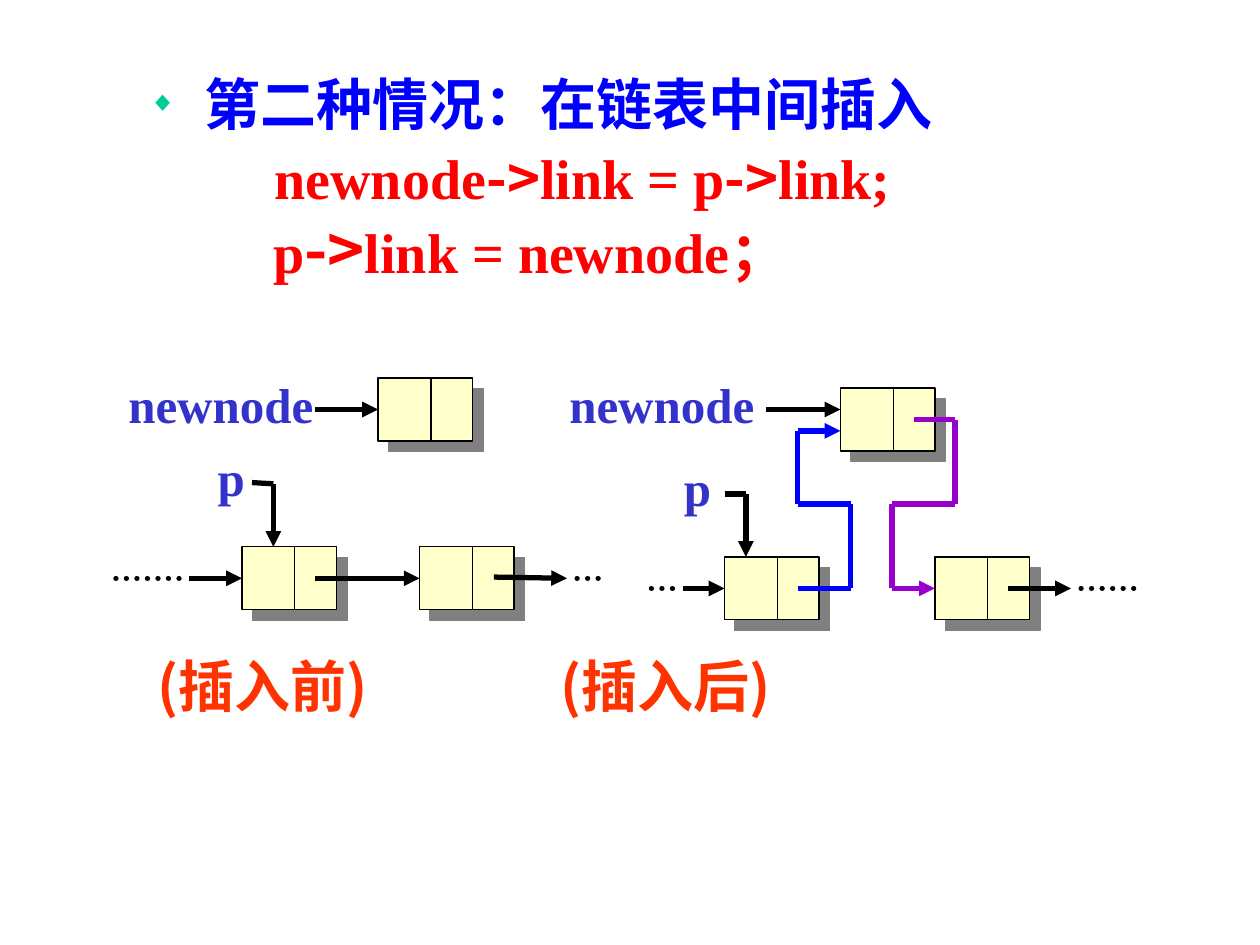
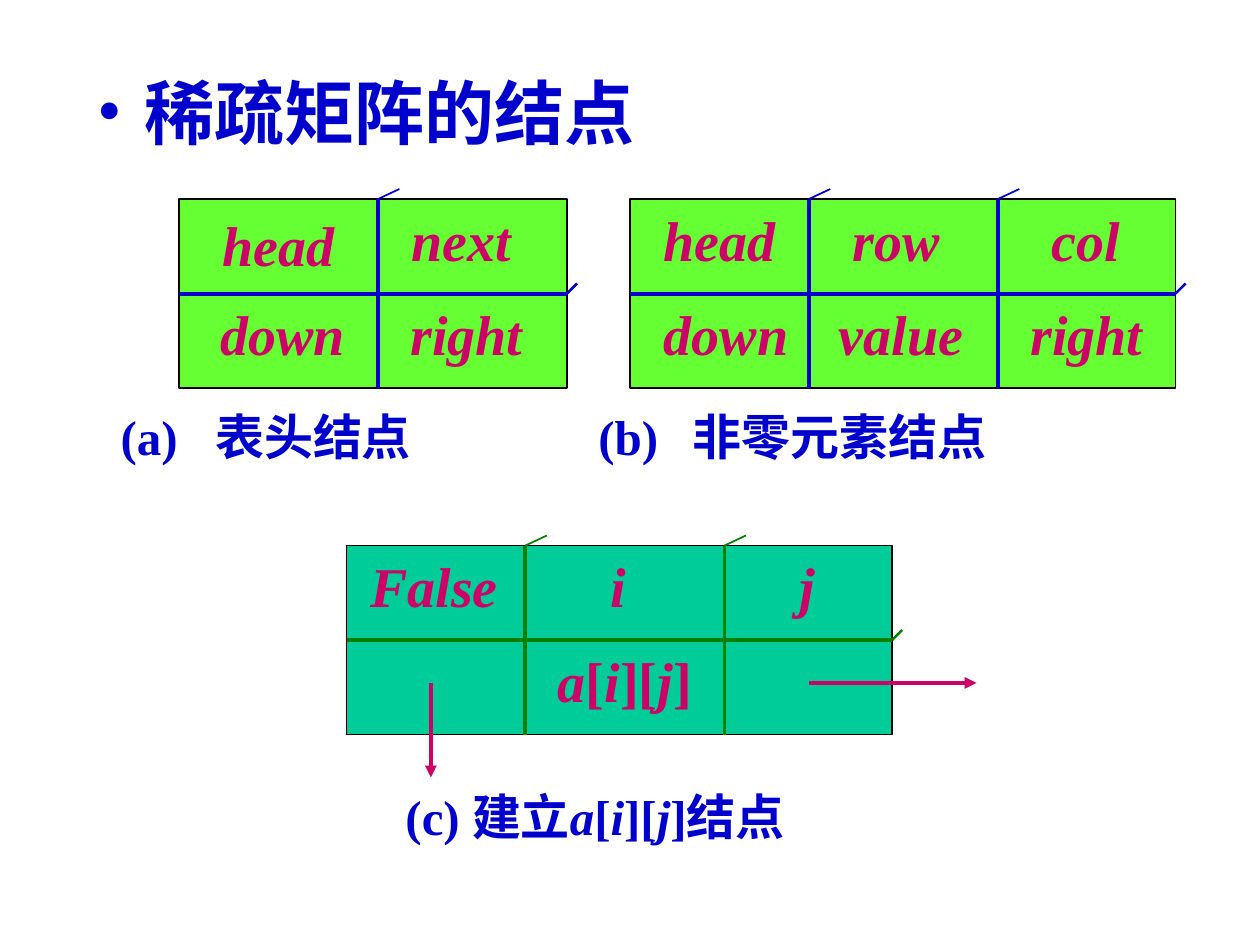
from lxml.etree import SubElement
from pptx import Presentation
from pptx.dml.color import RGBColor
from pptx.enum.dml import MSO_LINE_DASH_STYLE as Dash
from pptx.enum.shapes import MSO_CONNECTOR as Connector, MSO_SHAPE as Shape
from pptx.enum.text import MSO_ANCHOR as Anchor, MSO_AUTO_SIZE as AutoSize, PP_ALIGN as Align
from pptx.oxml.ns import qn
from pptx.util import Inches, Pt

BLACK = RGBColor(0x00, 0x00, 0x00)
BLUE = RGBColor(0x00, 0x00, 0xFF)
NAVY = RGBColor(0x00, 0x00, 0xCC)
INDIGO = RGBColor(0x33, 0x33, 0xCC)
RED = RGBColor(0xFF, 0x00, 0x00)
ORANGE = RGBColor(0xFF, 0x33, 0x00)
PURPLE = RGBColor(0x99, 0x00, 0xCC)
MAGENTA = RGBColor(0xCC, 0x00, 0x66)
CREAM = RGBColor(0xFF, 0xFF, 0xCC)
LIME = RGBColor(0x66, 0xFF, 0x33)
TEAL = RGBColor(0x00, 0xCC, 0x99)
GREEN = RGBColor(0x00, 0x80, 0x00)
GRAY = RGBColor(0x80, 0x80, 0x80)
SERIF = "Times New Roman"
SANS = "Noto Sans CJK SC"


def write(page, left, top, width, height, runs, size, color, box=None):
    box = box or page.shapes.add_textbox(0, 0, 0, 0)
    box.left, box.top = Inches(left), Inches(top)
    box.width, box.height = Inches(width), Inches(height)
    frame = box.text_frame
    frame.word_wrap = True
    frame.auto_size = AutoSize.NONE
    frame.vertical_anchor = Anchor.TOP
    para = frame.paragraphs[0]
    para.alignment = Align.LEFT
    for words, changes in runs:
        span = para.add_run()
        span.text = words
        span.font.size = Pt(size)
        span.font.bold = True
        span.font.name = SERIF
        span.font.color.rgb = color
        for name, value in changes.items():
            setattr(span.font, name, value)
        SubElement(span.font._element, qn("a:ea"), typeface=SANS)
    return para


def draw_route(page, points, color, weight, arrow=False):
    for start, end in zip(points, points[1:]):
        line = page.shapes.add_connector(Connector.STRAIGHT, *map(Inches, start + end))
        line.line.color.rgb = color
        line.line.width = Pt(weight)
        SubElement(line._element.spPr, qn("a:effectLst"))
    if arrow:
        SubElement(line.line._get_or_add_ln(), qn("a:tailEnd"), type="triangle")
    return line


deck = Presentation()
deck.slide_width, deck.slide_height = Inches(10), Inches(7.5)

pages = []
for words, size, color, left, margin, hanging, mark, mark_color, mark_size in [
    ("第二种情况：在链表中间插入", 32, BLUE, 0.58, 0.94, 0.44, "◆", TEAL, 50),
    ("稀疏矩阵的结点", 40, NAVY, 0.67, 0.38, 0.38, "•", NAVY, 100),
]:
    page = deck.slides.add_slide(deck.slide_layouts[5])
    para = write(page, left, 0.5, 9, 0.8, [(words, {})], size, color, page.shapes.title)
    layout = para._p.get_or_add_pPr()
    layout.set("marL", str(Inches(margin)))
    layout.set("indent", str(-Inches(hanging)))
    tint = SubElement(layout, qn("a:buClr"))
    SubElement(tint, qn("a:srgbClr"), val=str(mark_color))
    SubElement(layout, qn("a:buSzPct"), val=str(mark_size * 1000))
    SubElement(layout, qn("a:buFont"), typeface=SERIF)
    SubElement(layout, qn("a:buChar"), char=mark)
    pages.append(page)
insertion, matrix = pages

sans = {"name": SANS}
large = {"name": SANS, "size": Pt(36)}
write(insertion, 2.08, 1.09, 7, 0.7, [
    ("newnode", {}), ("->", sans), ("link = p", {}), ("->", sans), ("link;", {}),
], 32, RED)
write(insertion, 2.07, 1.62, 7, 0.75, [
    ("p", {}), ("->", large), ("link = newnode；", {}),
], 32, RED)
for words, left in [("(插入前)", 1.15), ("(插入后)", 4.35)]:
    write(insertion, left, 5.12, 2.5, 0.66, [(words, sans)], 32, ORANGE)
for words, left, top, width in [
    ("newnode", 0.92, 2.92, 1.75), ("p", 1.63, 3.5, 0.5),
    ("newnode", 4.42, 2.92, 1.75), ("p", 5.33, 3.58, 0.5),
]:
    write(insertion, left, top, width, 0.57, [(words, {})], 28, INDIGO)

nodes = {}
for name, left, top in [
    ("new before", 3, 3), ("p before", 1.92, 4.34), ("next before", 3.33, 4.34),
    ("new after", 6.67, 3.08), ("p after", 5.75, 4.42), ("next after", 7.42, 4.42),
]:
    node = insertion.shapes.add_shape(
        Shape.RECTANGLE, Inches(left), Inches(top), Inches(0.75), Inches(0.5))
    node.fill.solid()
    node.fill.fore_color.rgb = CREAM
    node.line.color.rgb = BLACK
    node.line.width = Pt(0.75)
    node.shadow.inherit = False
    effects = node._element.spPr.find(qn("a:effectLst"))
    shadow = SubElement(effects, qn("a:outerShdw"), dist=str(Pt(8.5)), dir="2700000",
                        algn="ctr", rotWithShape="0")
    SubElement(shadow, qn("a:srgbClr"), val=str(GRAY))
    draw_route(insertion, [(left + 0.42, top), (left + 0.42, top + 0.5)], BLACK, 0.75)
    nodes[name] = node

for points, color, target in [
    ([(2.5, 3.25), (3, 3.25)], BLACK, "new before"),
    ([(1.5, 4.59), (1.92, 4.59)], BLACK, "p before"),
    ([(2.5, 4.59), (3.33, 4.59)], BLACK, "next before"),
    ([(3.92, 4.58), (4.5, 4.59)], BLACK, None),
    ([(2, 3.83), (2.17, 3.84), (2.17, 4.34)], BLACK, None),
    ([(6.08, 3.25), (6.67, 3.25)], BLACK, None),
    ([(5.42, 4.67), (5.75, 4.67)], BLACK, "p after"),
    ([(5.75, 3.92), (5.92, 3.92), (5.92, 4.42)], BLACK, None),
    ([(8, 4.67), (8.5, 4.67)], BLACK, None),
    ([(6.33, 4.67), (6.75, 4.67), (6.75, 4), (6.33, 4), (6.33, 3.42), (6.67, 3.42)],
     BLUE, None),
    ([(7.25, 3.33), (7.58, 3.33), (7.58, 4), (7.08, 4), (7.08, 4.67), (7.42, 4.67)],
     PURPLE, "next after"),
]:
    arrow = draw_route(insertion, points, color, 3, arrow=True)
    if target:
        arrow.end_connect(nodes[target], 1)

for start, end, level in [
    (0.92, 1.5, 4.59), (4.58, 4.83, 4.59), (5.17, 5.42, 4.67), (8.58, 9.08, 4.67),
]:
    dots = draw_route(insertion, [(start, level), (end, level)], BLACK, 3)
    dots.line.dash_style = Dash.ROUND_DOT
    dots.line._get_or_add_ln().set("cap", "rnd")

upright, slanted = {}, {"italic": True}
element = [("a", slanted), ("[", upright), ("i", slanted), ("][", upright),
           ("j", slanted), ("]", upright)]
for left, top, width, fill, color, dividers, labels in [
    (1.42, 1.58, 3.08, LIME, NAVY, [3], [
        ("head", 1.67, 1.62), ("next", 3.17, 1.58),
        ("down", 1.65, 2.33), ("right", 3.16, 2.33)]),
    (5, 1.58, 4.33, LIME, NAVY, [6.42, 7.92], [
        ("head", 5.17, 1.58), ("row", 6.67, 1.58), ("col", 8.25, 1.58),
        ("down", 5.17, 2.33), ("value", 6.56, 2.33), ("right", 8.08, 2.33)]),
    (2.75, 4.33, 4.33, TEAL, GREEN, [4.17, 5.75], [
        ("False", 2.84, 4.33), ("i", 4.75, 4.33), ("j", 6.25, 4.33)]),
]:
    record = matrix.shapes.add_shape(
        Shape.RECTANGLE, Inches(left), Inches(top), Inches(width), Inches(1.5))
    record.shadow.inherit = False
    record.fill.solid()
    record.fill.fore_color.rgb = fill
    record.line.color.rgb = BLACK
    record.line.width = Pt(0.75)
    right, middle = left + width, top + 0.75
    row_line = draw_route(matrix, [(left, middle), (right, middle)], color, 2.25)
    row_line.begin_connect(record, 1)
    row_line.end_connect(record, 3)
    draw_route(matrix, [(right, middle), (right + 0.08, middle - 0.08)], color, 1.5)
    for divider in dividers:
        draw_route(matrix, [(divider, top), (divider, top + 1.5)], color, 2.25)
        draw_route(matrix, [(divider, top), (divider + 0.17, top - 0.08)], color, 1)
    for words, label_left, label_top in labels:
        write(matrix, label_left, label_top, 1.4, 0.64, [(words, slanted)], 32, MAGENTA)

write(matrix, 4.33, 5.08, 1.4, 0.64, element, 32, MAGENTA)
for points in [[(3.42, 5.42), (3.42, 6.17)], [(6.42, 5.42), (7.75, 5.42)]]:
    draw_route(matrix, points, MAGENTA, 2.25, arrow=True)

for words, left in [("(a)\t表头结点", 0.86), ("(b)\t非零元素结点", 4.65)]:
    para = write(matrix, left, 3.18, 3.7, 0.57, [(words, {})], 28, NAVY)
    stops = SubElement(para._p.get_or_add_pPr(), qn("a:tabLst"))
    SubElement(stops, qn("a:tab"), pos=str(Inches(0.75)), algn="l")
write(matrix, 3.12, 6.19, 4, 0.64,
      [("(c) 建立", {})] + element + [("结点", {})], 28, NAVY)

deck.save("out.pptx")
